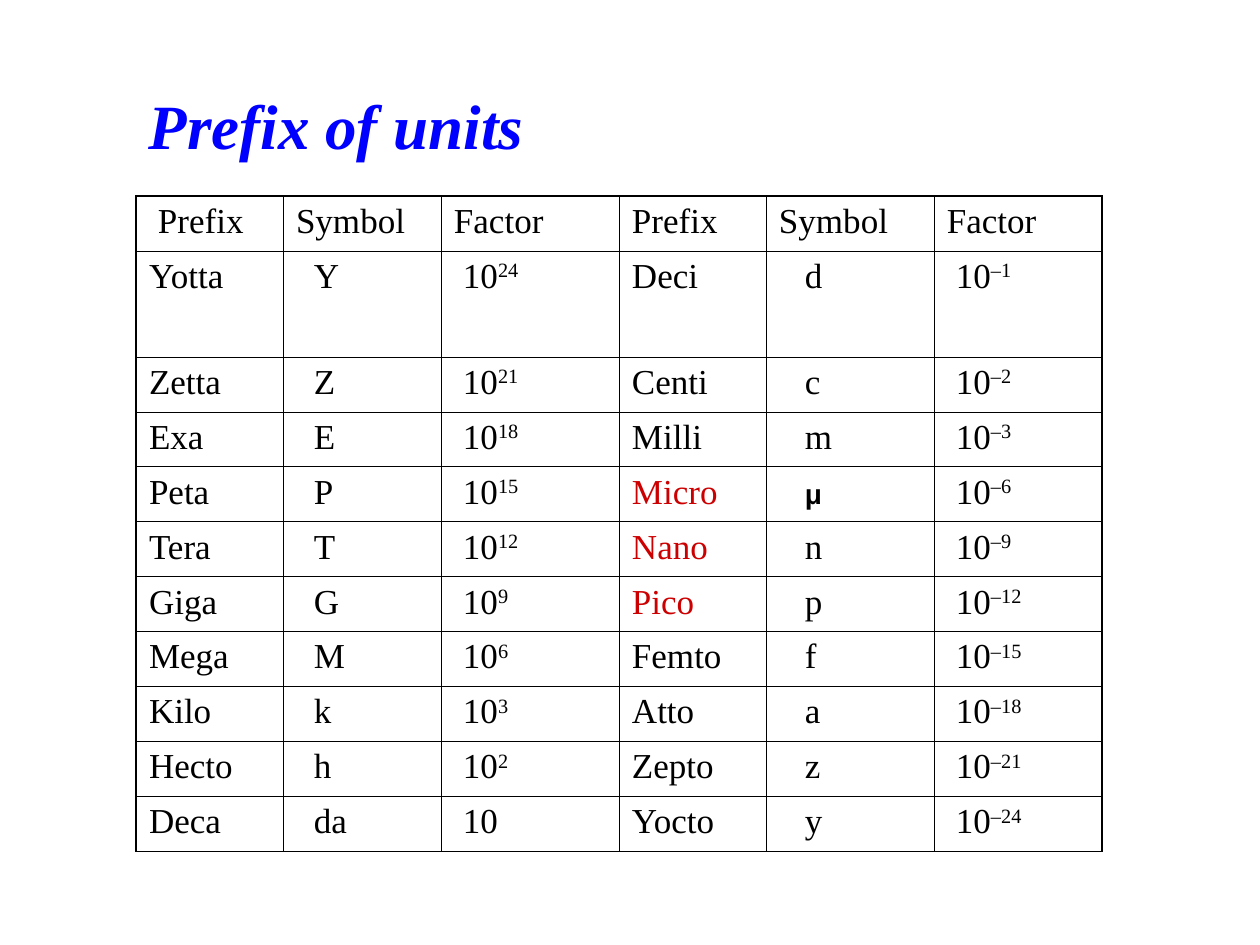
from lxml.etree import SubElement
from pptx import Presentation
from pptx.dml.color import RGBColor
from pptx.oxml.ns import qn
from pptx.util import Emu, Pt

PX_PER_INCH = 126
FONT = "Times New Roman"
BLACK, RED, BLUE = "000000", "CC0000", "0000FF"
INSET_X, INSET_Y = 13, 6
INNER_LINE, OUTER_LINE = 0.45, 1.08

COLUMN_WIDTHS = [147, 158, 178, 147, 168, 168]
ROW_HEIGHTS = [55, 106] + [55] * 9
HEADER_INDENTS = [9, 0, 0, 0, 0, 0]
BODY_INDENTS = [0, 18, 9, 0, 26, 9]

HEADER = ["Prefix", "Symbol", "Factor"] * 2
# Prefix, symbol and power of ten, for larger and smaller units
UNITS = [
    ("Yotta", "Y", "24", "Deci", "d", "–1"),
    ("Zetta", "Z", "21", "Centi", "c", "–2"),
    ("Exa", "E", "18", "Milli", "m", "–3"),
    ("Peta", "P", "15", "Micro", "μ", "–6"),
    ("Tera", "T", "12", "Nano", "n", "–9"),
    ("Giga", "G", "9", "Pico", "p", "–12"),
    ("Mega", "M", "6", "Femto", "f", "–15"),
    ("Kilo", "k", "3", "Atto", "a", "–18"),
    ("Hecto", "h", "2", "Zepto", "z", "–21"),
    ("Deca", "da", "", "Yocto", "y", "–24"),
]
HIGHLIGHTED = {"Micro", "Nano", "Pico"}


def px(length):
    return Emu(round(length * 914400 / PX_PER_INCH))


def color(value):
    return RGBColor.from_string(value)


def set_font(paragraph, size, value, name=FONT, bold=False, italic=False):
    font = paragraph.font
    font.name, font.size = name, Pt(size)
    font.bold, font.italic = bold, italic
    font.color.rgb = color(value)


def set_insets(target, left=INSET_X, top=INSET_Y):
    target.margin_left, target.margin_right = px(left), px(INSET_X)
    target.margin_top, target.margin_bottom = px(top), px(INSET_Y)


def add_title(slide, text):
    box = slide.shapes.add_textbox(px(136), px(73), px(431), px(164))
    frame = box.text_frame
    frame.word_wrap = True
    set_insets(frame, top=14)
    paragraph = frame.paragraphs[0]
    paragraph.text = text
    set_font(paragraph, 36, BLUE, bold=True, italic=True)


def set_borders(cell, widths):
    properties = cell._tc.get_or_add_tcPr()
    for side, width in zip("LRTB", widths):
        line = SubElement(properties, qn(f"a:ln{side}"), w=str(Pt(width)))
        fill = SubElement(line, qn("a:solidFill"))
        SubElement(fill, qn("a:srgbClr"), val=BLACK)


def fill_cell(cell, text, indent, exponent=""):
    paragraph = cell.text_frame.paragraphs[0]
    paragraph.add_run().text = text
    if exponent:
        superscript = paragraph.add_run()
        superscript.text = exponent
        superscript._r.get_or_add_rPr().set("baseline", "30000")
    if text == "μ":
        # The smaller symbol is lowered to the baseline of its row
        set_insets(cell, INSET_X + indent, INSET_Y + 6)
        set_font(paragraph, 16, BLACK, name="Arial", bold=True)
    else:
        set_insets(cell, INSET_X + indent)
        set_font(paragraph, 20, RED if text in HIGHLIGHTED else BLACK)


def add_unit_table(slide):
    row_count, column_count = len(ROW_HEIGHTS), len(COLUMN_WIDTHS)
    table = slide.shapes.add_table(
        row_count, column_count, px(136), px(196),
        px(sum(COLUMN_WIDTHS)), px(sum(ROW_HEIGHTS))).table
    table.first_row = table.horz_banding = False
    for column, width in zip(table.columns, COLUMN_WIDTHS):
        column.width = px(width)
    for row, height in zip(table.rows, ROW_HEIGHTS):
        row.height = px(height)

    for r, texts in enumerate([HEADER] + UNITS):
        for c, text in enumerate(texts):
            cell = table.cell(r, c)
            at_edge = (c == 0, c == column_count - 1, r == 0, r == row_count - 1)
            set_borders(cell, [OUTER_LINE if edge else INNER_LINE for edge in at_edge])
            cell.fill.background()
            if r == 0:
                fill_cell(cell, text, HEADER_INDENTS[c])
            elif HEADER[c] == "Factor":
                fill_cell(cell, "10", BODY_INDENTS[c], exponent=text)
            else:
                fill_cell(cell, text, BODY_INDENTS[c])


def main():
    presentation = Presentation()
    presentation.slide_width, presentation.slide_height = px(1260), px(945)
    slide = presentation.slides.add_slide(presentation.slide_layouts[6])
    add_unit_table(slide)
    add_title(slide, "Prefix of units")
    presentation.save("out.pptx")


if __name__ == "__main__":
    main()
